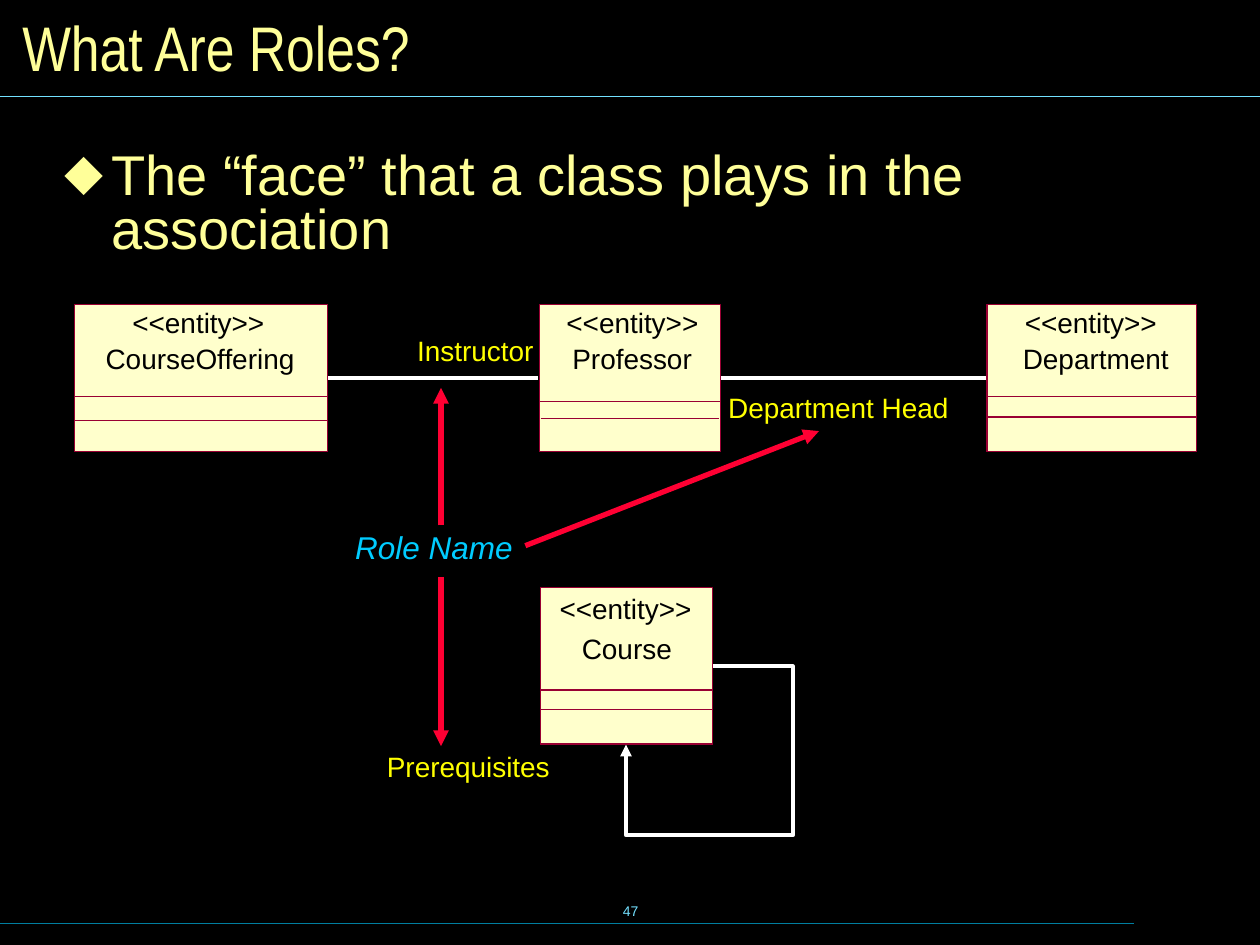
from lxml import etree
from pptx import Presentation
from pptx import util as u
from pptx.dml import color
from pptx.enum import shapes, text
from pptx.oxml import ns

Cm, Pt = u.Cm, u.Pt
rgb = color.RGBColor.from_string


def stroke(shape, hue, width, arrow=False):
    shape.line.color.rgb = rgb(hue)
    shape.line.width = Pt(width)
    properties = shape._element.spPr
    if arrow:
        outline = properties.find(ns.qn("a:ln"))
        etree.SubElement(outline, ns.qn("a:tailEnd"), type="triangle")
    etree.SubElement(properties, ns.qn("a:effectLst"))


def write(words, box, hue, size, inset=(0, 0), wrap=True, bullet=None,
          frame_format=None, paragraph_format=None, font_format=None):
    frame = slide.shapes.add_textbox(*map(Cm, box)).text_frame
    across, down = map(Cm, inset)
    paragraph = frame.paragraphs[0]
    run = paragraph.add_run()
    run.text = words
    if bullet:
        properties = paragraph._p.get_or_add_pPr()
        properties.set("marL", str(Cm(0.94)))
        properties.set("indent", str(-Cm(0.94)))
        tint = etree.SubElement(properties, ns.qn("a:buClr"))
        etree.SubElement(tint, ns.qn("a:srgbClr"), val=hue)
        etree.SubElement(properties, ns.qn("a:buFont"), typeface="Arial")
        etree.SubElement(properties, ns.qn("a:buChar"), char=bullet)
    frame_values = {"margin_left": across, "margin_right": across,
                    "margin_top": down, "margin_bottom": down,
                    "word_wrap": wrap, **(frame_format or {})}
    font_values = {"name": "Arial", "size": Pt(size), **(font_format or {})}
    for target, values in ((frame, frame_values),
                           (paragraph, paragraph_format or {}),
                           (run.font, font_values)):
        for name, value in values.items():
            setattr(target, name, value)
    run.font.color.rgb = rgb(hue)


deck = Presentation()
deck.slide_width, deck.slide_height = Cm(25.4), Cm(19.05)
slide = deck.slides.add_slide(deck.slide_layouts[6])
slide.background.fill.solid()
slide.background.fill.fore_color.rgb = rgb("000000")

middle = {"vertical_anchor": text.MSO_ANCHOR.MIDDLE}
grow = {"auto_size": text.MSO_AUTO_SIZE.SHAPE_TO_FIT_TEXT}

write("47", (8.69, 17.73, 8.05, 1.27), "73E1FF", 8, (0.25, 0.13), False,
      frame_format=middle, paragraph_format={"alignment": text.PP_ALIGN.CENTER})
write("What Are Roles?", (0.2, 0.2, 25, 1.47), "FFFF99", 36, (0.25, 0.13),
      frame_format=middle, font_format={"name": "Arial Narrow"})
write("The “face” that a class plays in the association",
      (1, 2.92, 23.6, 14.02), "FFFF99", 32, (0.3, 0.15), bullet="⬥",
      paragraph_format={"line_spacing": 0.8})
write("Role Name", (6.91, 10.52, 3.84, 1.02), "00CCFF", 18, (0.25, 0.13),
      frame_format=grow, font_format={"italic": True})

for start, end, hue, width, arrow in (
    ((0, 18.62), (22.86, 18.62), "007E9F", 0.75, False),
    ((0, 1.94), (25.4, 1.94), "73E1FF", 0.75, False),
    ((6.53, 7.62), (10.85, 7.62), "FFFFFF", 2.25, False),
    ((19.94, 7.62), (14.48, 7.62), "FFFFFF", 2.25, False),
    ((8.89, 10.59), (8.89, 7.82), "FF0033", 3, True),
    ((10.59, 11), (16.51, 8.69), "FF0033", 3, True),
    ((8.89, 11.63), (8.89, 15.04), "FF0033", 3, True),
    ((17.02, 7.62), (19.89, 7.62), "FFFFFF", 0, False),
):
    line = slide.shapes.add_connector(
        shapes.MSO_CONNECTOR.STRAIGHT, *map(Cm, start + end))
    stroke(line, hue, width, arrow)

for corners, arrow in (
    (((15.98, 16.03), (15.98, 16.84), (12.62, 16.84), (12.62, 15.01)), True),
    (((15.98, 16.33), (15.98, 13.43), (14.35, 13.43)), False),
):
    points = [(Cm(x), Cm(y)) for x, y in corners]
    builder = slide.shapes.build_freeform(*points[0])
    builder.add_line_segments(points[1:], close=False)
    loop = builder.convert_to_shape()
    loop.fill.background()
    stroke(loop, "FFFFFF", 2.25, arrow)

for name, left, top, width, height, dividers, name_box, stereotype_at in (
    ("CourseOffering", 1.5, 6.14, 5.11, 2.96, (7.99, 8.48),
     (2.13, 6.88, 3.9, 0.69), (2.67, 6.17)),
    ("Professor", 10.88, 6.14, 3.64, 2.96, (8.09,),
     (11.54, 6.88, 2.5, 0.69), (11.42, 6.17)),
    ("Department", 19.9, 6.14, 4.22, 2.96, (7.99, 8.41),
     (20.62, 6.88, 3.1, 0.69), (20.66, 6.17)),
    ("Course", 10.9, 11.85, 3.47, 3.15, (13.91, 14.3),
     (11.73, 12.73, 1.95, 0.69), (11.28, 11.93)),
):
    for edge in (top, *dividers):
        compartment = slide.shapes.add_shape(
            shapes.MSO_SHAPE.RECTANGLE, Cm(left), Cm(edge),
            Cm(width), Cm(top + height - edge))
        if edge == top:
            compartment.fill.solid()
            compartment.fill.fore_color.rgb = rgb("FFFFCC")
        else:
            compartment.fill.background()
        stroke(compartment, "990033", 0)
    write(name, name_box, "000000", 16, wrap=False, frame_format=grow)
    write("<<entity>>", (*stereotype_at, 2.8, 0.69), "000000", 16,
          wrap=False, frame_format=grow)

professor_divider = slide.shapes.add_connector(
    shapes.MSO_CONNECTOR.STRAIGHT, Cm(10.9), Cm(8.43), Cm(14.5), Cm(8.43))
stroke(professor_divider, "990033", 0.25)

for role, left, top, width in (
    ("Instructor", 8.41, 6.72, 2.5),
    ("Department Head", 14.68, 7.87, 4.6),
    ("Prerequisites", 7.8, 15.11, 3.5),
):
    write(role, (left, top, width, 0.69), "FFFF00", 16, wrap=False,
          frame_format=grow)

deck.save("out.pptx")
